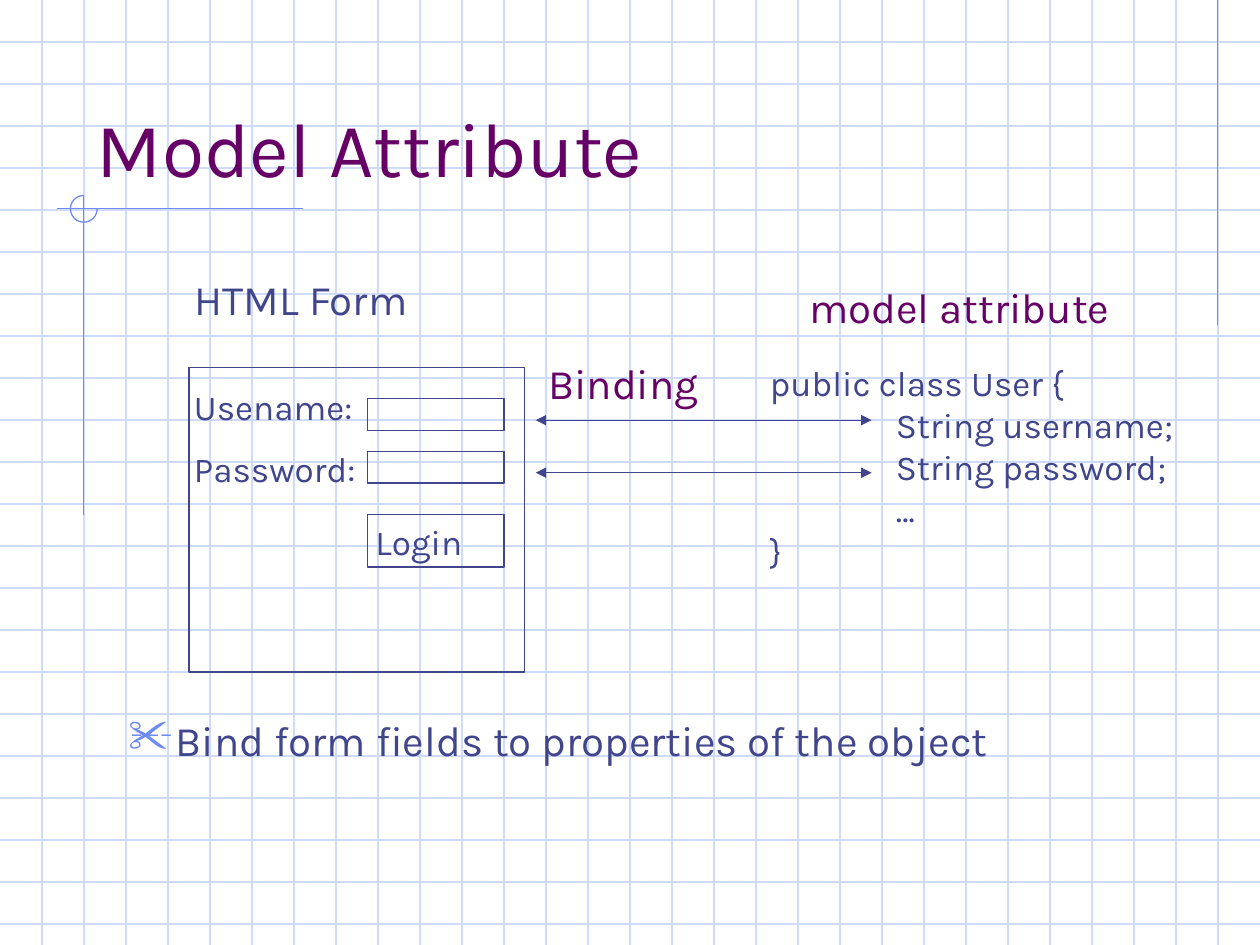
from lxml.etree import SubElement as Sub
from pptx import Presentation
from pptx.dml.color import RGBColor
from pptx.enum.shapes import MSO_CONNECTOR as Link, MSO_SHAPE as Form
from pptx.enum.text import MSO_ANCHOR as Anchor, MSO_AUTO_SIZE as Fit, PP_ALIGN as Align
from pptx.oxml.ns import qn
from pptx.util import Cm, Pt

WIDE, HIGH = 25.4, 19.05
STEP = WIDE / 30
INK, PLUM, BLUE, PALE = "40458C", "660066", "6F89F7", "CFDBFD"


def hue(code):
    return RGBColor.from_string(code)


def style(thing, values):
    for name, value in values.items():
        setattr(thing, name, value)


def stroke(line, code):
    line.color.rgb = hue(code)
    line.width = Pt(0.75)


def rule(slide, x1, y1, x2, y2, code, heads=False):
    line = slide.shapes.add_connector(Link.STRAIGHT, Cm(x1), Cm(y1), Cm(x2), Cm(y2))
    stroke(line.line, code)
    props = line.element.spPr
    if heads:
        for end in ("a:headEnd", "a:tailEnd"):
            Sub(props.find(qn("a:ln")), qn(end), type="triangle")
    Sub(props, qn("a:effectLst"))


def outline(slide, kind, x, y, w, h, code):
    shape = slide.shapes.add_shape(kind, Cm(x), Cm(y), Cm(w), Cm(h))
    shape.shadow.inherit = False
    shape.fill.background()
    stroke(shape.line, code)
    return shape


def write(frame, lines, size, code):
    for i, text in enumerate(lines):
        para = frame.paragraphs[0] if i == 0 else frame.add_paragraph()
        para.alignment = Align.LEFT
        run = para.add_run()
        run.text = text
        style(run.font, {"name": "Karla", "size": Pt(size), "bold": False})
        run.font.color.rgb = hue(code)


def label(slide, x, y, w, h, lines, size, code=INK, wrap=False):
    box = slide.shapes.add_textbox(Cm(x), Cm(y), Cm(w), Cm(h))
    frame = box.text_frame
    style(frame, {"word_wrap": wrap, "auto_size": Fit.NONE if wrap else Fit.SHAPE_TO_FIT_TEXT})
    write(frame, lines, size, code)
    return frame.paragraphs


def tab(para, pos):
    stops = Sub(para._p.get_or_add_pPr(), qn("a:tabLst"))
    Sub(stops, qn("a:tab"), pos=str(Cm(pos)), algn="l")


def bullet(para):
    style(para, {"line_spacing": 0.9, "space_before": Pt(6)})
    props = para._p.get_or_add_pPr()
    props.set("marL", str(Cm(0.95)))
    props.set("indent", str(Cm(-0.95)))
    Sub(Sub(props, qn("a:buClr")), qn("a:srgbClr"), val=BLUE)
    Sub(props, qn("a:buSzPct"), val="110000")
    Sub(props, qn("a:buChar"), char="✂")


def paper(slide):
    # Squared paper
    for i in range(1, 23):
        rule(slide, 0, i * STEP, WIDE, i * STEP, PALE)
    for i in range(1, 30):
        rule(slide, i * STEP, 0, i * STEP, HIGH, PALE)
    # Drafting marks
    rule(slide, 24.55, 0, 24.55, 6.56, BLUE)
    rule(slide, 6.1, 4.21, 1.14, 4.21, BLUE)
    rule(slide, 1.69, 3.94, 1.69, 10.39, BLUE)
    arc = outline(slide, Form.ARC, 1.42, 3.94, 0.54, 0.54, BLUE)
    arc.adjustments[0], arc.adjustments[1] = 0, 162


def heading(slide):
    title = slide.shapes.title
    style(title, {"left": Cm(1.7), "top": Cm(0.84), "width": Cm(21.59), "height": Cm(3.18)})
    style(title.text_frame, {"vertical_anchor": Anchor.BOTTOM, "word_wrap": True,
                             "auto_size": Fit.NONE})
    write(title.text_frame, ["Model Attribute"], 44, PLUM)
    title.element.getparent().append(title.element)  # above the paper


def form(slide):
    label(slide, 3.68, 5.38, 5.13, 1.27, ["HTML Form"], 24)
    outline(slide, Form.RECTANGLE, 3.81, 7.41, 6.77, 6.14, INK)
    label(slide, 3.66, 7.65, 3.84, 1.12, ["Usename:"], 20)
    label(slide, 3.66, 8.89, 3.91, 1.12, ["Password:"], 20)
    label(slide, 7.32, 10.36, 2.36, 1.12, ["Login"], 20)
    for y, h in ((8.04, 0.64), (9.1, 0.64), (10.37, 1.06)):
        outline(slide, Form.RECTANGLE, 7.41, y, 2.75, h, INK)


def model(slide):
    label(slide, 16.06, 5.56, 6.73, 1.27, ["model attribute"], 24, PLUM)
    code = ["public class User {", "\tString username;", "\tString password;", "\t…", "}"]
    # Fields start one inch in, clear of the arrowheads
    for para in label(slide, 15.27, 7.16, 8.76, 4.5, code, 20):
        tab(para, 2.54)


def binding(slide):
    for y in (8.47, 9.53):
        rule(slide, 10.8, y, 17.57, y, INK, heads=True)
    label(slide, 10.8, 7.09, 3.58, 1.27, ["Binding"], 24, PLUM)


def main():
    deck = Presentation()
    style(deck, {"slide_width": Cm(WIDE), "slide_height": Cm(HIGH)})
    slide = deck.slides.add_slide(deck.slide_layouts[5])
    paper(slide)
    heading(slide)
    note = ["Bind form fields to properties of the object"]
    bullet(label(slide, 2.34, 14.4, 21.59, 2.97, note, 24, wrap=True)[0])
    form(slide)
    model(slide)
    binding(slide)
    deck.save("out.pptx")


if __name__ == "__main__":
    main()
